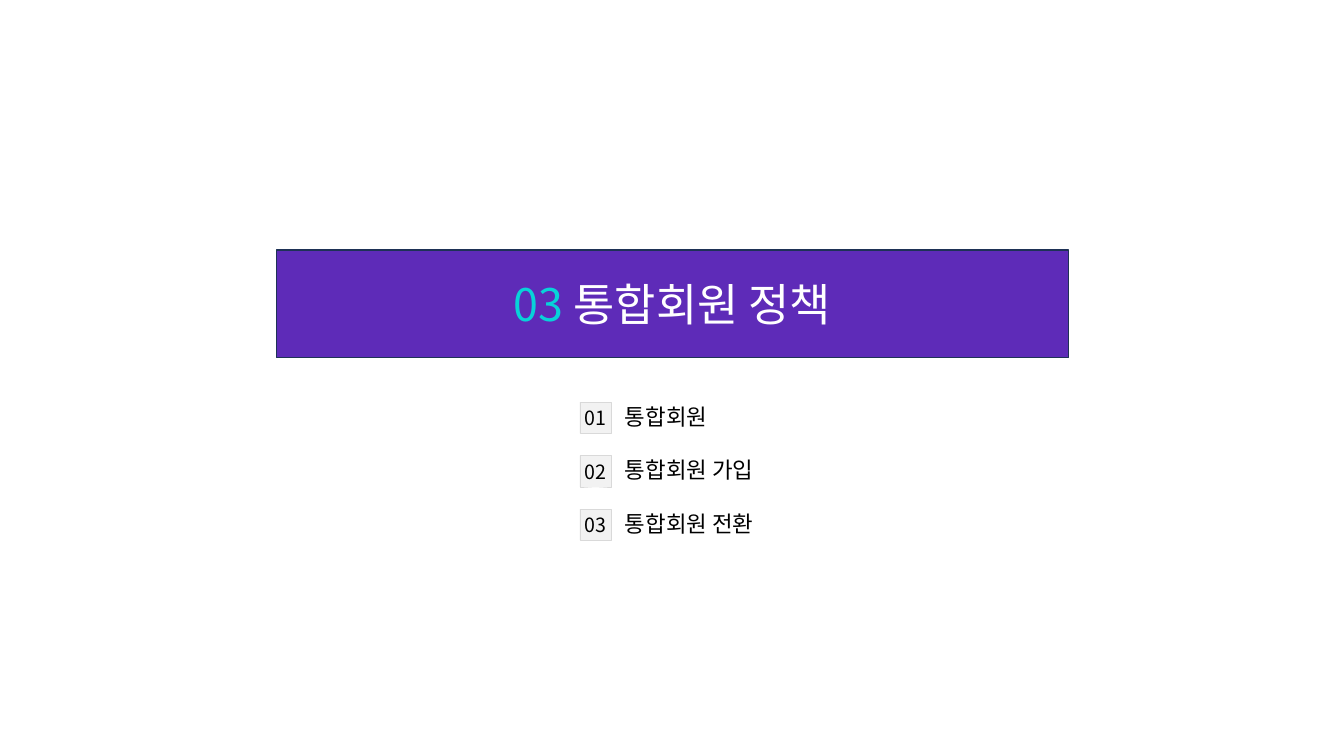
from lxml.etree import SubElement
from pptx import Presentation
from pptx.dml.color import RGBColor
from pptx.enum.shapes import MSO_SHAPE as Preset
from pptx.enum.text import MSO_ANCHOR as Anchor, MSO_AUTO_SIZE as AutoSize, PP_ALIGN as Align
from pptx.oxml.ns import qn
from pptx.util import Inches, Pt

FONT = "Noto Sans CJK KR"
TOPICS = ["통합회원", "통합회원 가입", "통합회원 전환"]


def color(value):
    return RGBColor.from_string(value)


def style_box(shape, fill, line, width):
    shape.fill.solid()
    shape.fill.fore_color.rgb = color(fill)
    shape.line.color.rgb = color(line)
    shape.line.width = Pt(width)


def style_paragraph(paragraph, size, align=Align.LEFT):
    paragraph.alignment = align
    paragraph.font.size = Pt(size)
    paragraph.font.name = FONT
    properties = paragraph._p.get_or_add_pPr().find(qn("a:defRPr"))
    SubElement(properties, qn("a:ea")).set("typeface", FONT)


def add_banner(slide, left, top, width, height):
    title = slide.shapes.title
    title.left, title.top = Inches(left), Inches(top)
    title.width, title.height = Inches(width), Inches(height)
    style_box(title, "5E2BB8", "1E3256", 1)
    frame = title.text_frame
    frame.auto_size = AutoSize.NONE
    frame.vertical_anchor = Anchor.MIDDLE
    paragraph = frame.paragraphs[0]
    style_paragraph(paragraph, 32, Align.CENTER)
    for text, shade in (("03 ", "08D2D9"), ("통합회원 정책", "FFFFFF")):
        run = paragraph.add_run()
        run.text = text
        run.font.color.rgb = color(shade)


def add_topic(slide, number, topic, left, top):
    badge = slide.shapes.add_shape(
        Preset.RECTANGLE, Inches(left), Inches(top + 0.04), Inches(0.31), Inches(0.31))
    badge.shadow.inherit = False
    style_box(badge, "F2F2F2", "D9D9D9", 0.25)
    badge.text_frame.vertical_anchor = Anchor.MIDDLE
    label = slide.shapes.add_textbox(
        Inches(left + 0.35), Inches(top), Inches(2.95), Inches(0.37))
    label.text_frame.auto_size = AutoSize.SHAPE_TO_FIT_TEXT
    for shape, text, size, align, wrap in (
            (badge, f"{number:02}", 14, Align.CENTER, False),
            (label, topic, 16, Align.LEFT, True)):
        frame = shape.text_frame
        frame.word_wrap = wrap
        paragraph = frame.paragraphs[0]
        paragraph.text = text
        style_paragraph(paragraph, size, align)
        paragraph.font.color.rgb = color("000000")


def add_topics(slide, left, top, pitch):
    for index, topic in enumerate(TOPICS):
        add_topic(slide, index + 1, topic, left, top + index * pitch)


def main():
    presentation = Presentation()
    presentation.slide_width = Inches(13.33)
    presentation.slide_height = Inches(7.5)
    slide = presentation.slides.add_slide(presentation.slide_layouts[5])
    add_banner(slide, 2.74, 2.48, 7.86, 1.07)
    add_topics(slide, 5.75, 3.95, 0.53)
    presentation.save("out.pptx")


if __name__ == "__main__":
    main()
